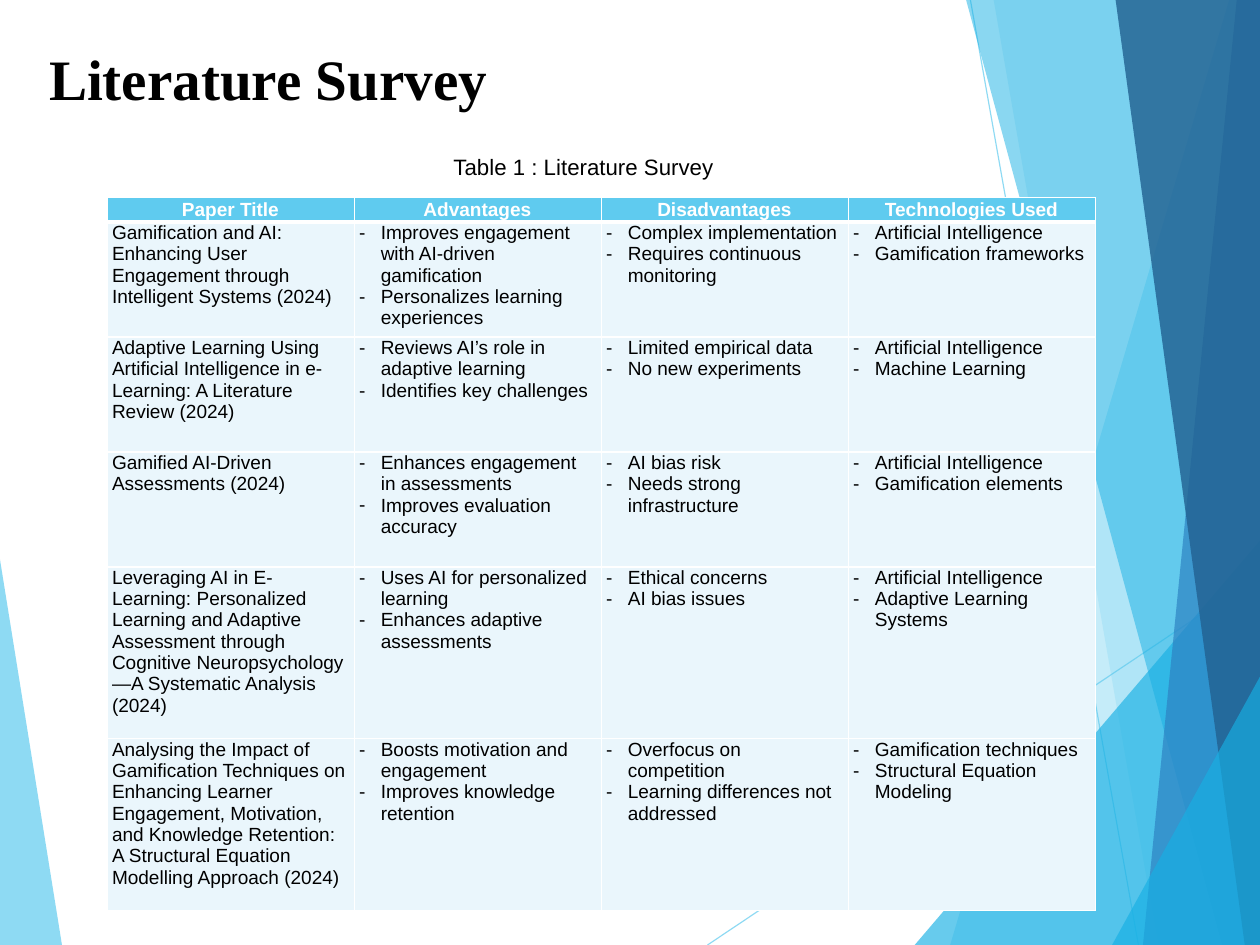
from lxml.etree import SubElement
from pptx import Presentation
from pptx.dml.color import RGBColor
from pptx.enum.shapes import MSO_CONNECTOR
from pptx.enum.text import MSO_ANCHOR, PP_ALIGN
from pptx.oxml import parse_xml
from pptx.oxml.ns import nsdecls, qn
from pptx.util import Cm, Inches, Pt

WIDTH, HEIGHT = Cm(28), Cm(21)
COLORS = {
    "sky": "5FCBEF", "cyan": "17B0E4", "blue": "2E83C3", "navy": "236292",
    "pale": "EAF6FC", "white": "FFFFFF", "black": "000000",
}

# Corners in percent of the slide, colour, opacity in percent
FACETS = [
    ([(97.55, 0), (75.41, 100), (100, 100), (100, 0)], "sky", 36),
    ([(78.86, 0), (91.92, 100), (100, 100), (100, 0)], "sky", 20),
    ([(72.6, 100), (100, 57.2), (100, 100)], "cyan", 65),
    ([(76.68, 0), (97, 100), (100, 100), (100, 0)], "cyan", 50),
    ([(98.15, 0), (90.71, 100), (100, 100), (100, 0)], "blue", 70),
    ([(88.54, 0), (98.79, 100), (100, 100), (100, 0)], "navy", 82),
    ([(88.26, 100), (100, 71.6), (100, 100)], "cyan", 65),
]
LEFT_WEDGE = [(0, 59.2), (4.92, 100), (0, 100)]
RAYS = [((56.15, 100), (100, 60.85)), ((77.02, 0), (90.35, 100))]

HEADINGS = ["Paper Title", "Advantages", "Disadvantages", "Technologies Used"]
PAPERS = [
    ("Gamification and AI: Enhancing User Engagement through Intelligent Systems (2024)",
     ["Improves engagement with AI-driven gamification",
      "Personalizes learning experiences"],
     ["Complex implementation", "Requires continuous monitoring"],
     ["Artificial Intelligence", "Gamification frameworks"]),
    ("Adaptive Learning Using Artificial Intelligence in e-Learning: "
     "A Literature Review (2024)",
     ["Reviews AI’s role in adaptive learning", "Identifies key challenges"],
     ["Limited empirical data", "No new experiments"],
     ["Artificial Intelligence", "Machine Learning"]),
    ("Gamified AI-Driven Assessments (2024)",
     ["Enhances engagement in assessments", "Improves evaluation accuracy"],
     ["AI bias risk", "Needs strong infrastructure"],
     ["Artificial Intelligence", "Gamification elements"]),
    ("Leveraging AI in E-Learning: Personalized Learning and Adaptive Assessment "
     "through Cognitive Neuropsychology—A Systematic Analysis (2024)",
     ["Uses AI for personalized learning", "Enhances adaptive assessments"],
     ["Ethical concerns", "AI bias issues"],
     ["Artificial Intelligence", "Adaptive Learning Systems"]),
    ("Analysing the Impact of Gamification Techniques on Enhancing Learner Engagement, "
     "Motivation, and Knowledge Retention: A Structural Equation Modelling Approach (2024)",
     ["Boosts motivation and engagement", "Improves knowledge retention"],
     ["Overfocus on competition", "Learning differences not addressed"],
     ["Gamification techniques", "Structural Equation Modeling"]),
]
ROW_SHARES = [2.6] + [12.16] * 3 + [18.19] * 2


def across(percent):
    return round(WIDTH * percent / 100)


def down(percent):
    return round(HEIGHT * percent / 100)


def rgb(color):
    return RGBColor.from_string(COLORS[color])


def set_opacity(fill_owner, percent):
    tint = next(fill_owner.iter(qn("a:srgbClr")))
    SubElement(tint, qn("a:alpha")).set("val", str(percent * 1000))


def add_facet(slide, corners, color, opacity):
    start, *others = [(across(x), down(y)) for x, y in corners]
    outline = slide.shapes.build_freeform(*start)
    outline.add_line_segments(others, close=True)
    facet = outline.convert_to_shape()
    facet.shadow.inherit = False
    facet.fill.solid()
    facet.fill.fore_color.rgb = rgb(color)
    facet.line.fill.background()
    set_opacity(facet.fill._xPr, opacity)


def add_ray(slide, start, end):
    ray = slide.shapes.add_connector(
        MSO_CONNECTOR.STRAIGHT,
        across(start[0]), down(start[1]), across(end[0]), down(end[1]))
    ray.line.color.rgb = rgb("sky")
    ray.line.width = Pt(0.75)
    properties = ray._element.spPr
    set_opacity(properties, 70)
    SubElement(properties, qn("a:effectLst"))


def style_font(font, face, size, color, bold=False):
    font.name, font.size, font.bold = face, Pt(size), bold
    font.color.rgb = rgb(color)


def add_text(slide, left, top, width, height, pieces):
    box = slide.shapes.add_textbox(across(left), down(top), across(width), down(height))
    box.text_frame.word_wrap = True
    for words, *style in pieces:
        run = box.text_frame.paragraphs[0].add_run()
        run.text = words
        style_font(run.font, *style)


def set_borders(cell, top=1, bottom=1):
    properties = cell._tc.get_or_add_tcPr()
    for index, (side, points) in enumerate(
            [("L", 1), ("R", 1), ("T", top), ("B", bottom)]):
        properties.insert(index, parse_xml(
            f'<a:ln{side} {nsdecls("a")} w="{Pt(points)}"><a:solidFill>'
            f'<a:srgbClr val="{COLORS["white"]}"/></a:solidFill></a:ln{side}>'))


def add_dash(paragraph):
    properties = paragraph._p.get_or_add_pPr()
    properties.set("marL", str(Inches(0.19)))
    properties.set("indent", str(-Inches(0.19)))
    bullet_color = SubElement(properties, qn("a:buClr"))
    SubElement(bullet_color, qn("a:srgbClr")).set("val", COLORS["black"])
    SubElement(properties, qn("a:buFont")).set("typeface", "Arial")
    SubElement(properties, qn("a:buChar")).set("char", "-")


def fill_cell(cell, lines, fill, color, heading=False, dashed=False):
    cell.margin_left, cell.margin_right = Inches(0.04), Inches(0.05)
    cell.margin_top = cell.margin_bottom = 0
    cell.vertical_anchor = MSO_ANCHOR.MIDDLE if heading else MSO_ANCHOR.TOP
    cell.fill.solid()
    cell.fill.fore_color.rgb = rgb(fill)
    cell.text_frame.text = "\n".join(lines)
    for paragraph in cell.text_frame.paragraphs:
        paragraph.alignment = PP_ALIGN.CENTER if heading else PP_ALIGN.LEFT
        style_font(paragraph.runs[0].font, "Arial", 12, color, heading)
        if dashed:
            add_dash(paragraph)


def add_survey(slide):
    survey = slide.shapes.add_table(
        len(ROW_SHARES), len(HEADINGS),
        across(8.53), down(20.92), across(78.44), down(sum(ROW_SHARES))).table
    for row, share in zip(survey.rows, ROW_SHARES):
        row.height = down(share)

    # Heading row
    for column, heading in enumerate(HEADINGS):
        cell = survey.cell(0, column)
        fill_cell(cell, [heading], "sky", "white", heading=True)
        set_borders(cell, bottom=3)

    # One row per paper: title, then dashed lists
    for row, (title, *lists) in enumerate(PAPERS, start=1):
        for column, lines in enumerate([[title], *lists]):
            cell = survey.cell(row, column)
            fill_cell(cell, lines, "pale", "black", dashed=column > 0)
            set_borders(cell, top=3 if row == 1 else 1)


def main():
    deck = Presentation()
    deck.slide_width, deck.slide_height = WIDTH, HEIGHT
    slide = deck.slides.add_slide(deck.slide_layouts[6])

    # Background facets and rays
    add_facet(slide, LEFT_WEDGE, "sky", 70)
    for start, end in RAYS:
        add_ray(slide, start, end)
    for corners, color, opacity in FACETS:
        add_facet(slide, corners, color, opacity)

    # Title, table and caption
    title_style = ("Times New Roman", 36, "black", True)
    add_text(slide, 3, 3.5, 69.4, 19.2, [
        ("Literature", *title_style),
        (" ", "Cabin", 39, "sky"),
        ("Survey", *title_style)])
    add_survey(slide)
    add_text(slide, 35.1, 15.6, 40.65, 4.1,
             [("Table 1 : Literature Survey", "Arial", 14, "black")])

    deck.save("out.pptx")


if __name__ == "__main__":
    main()
